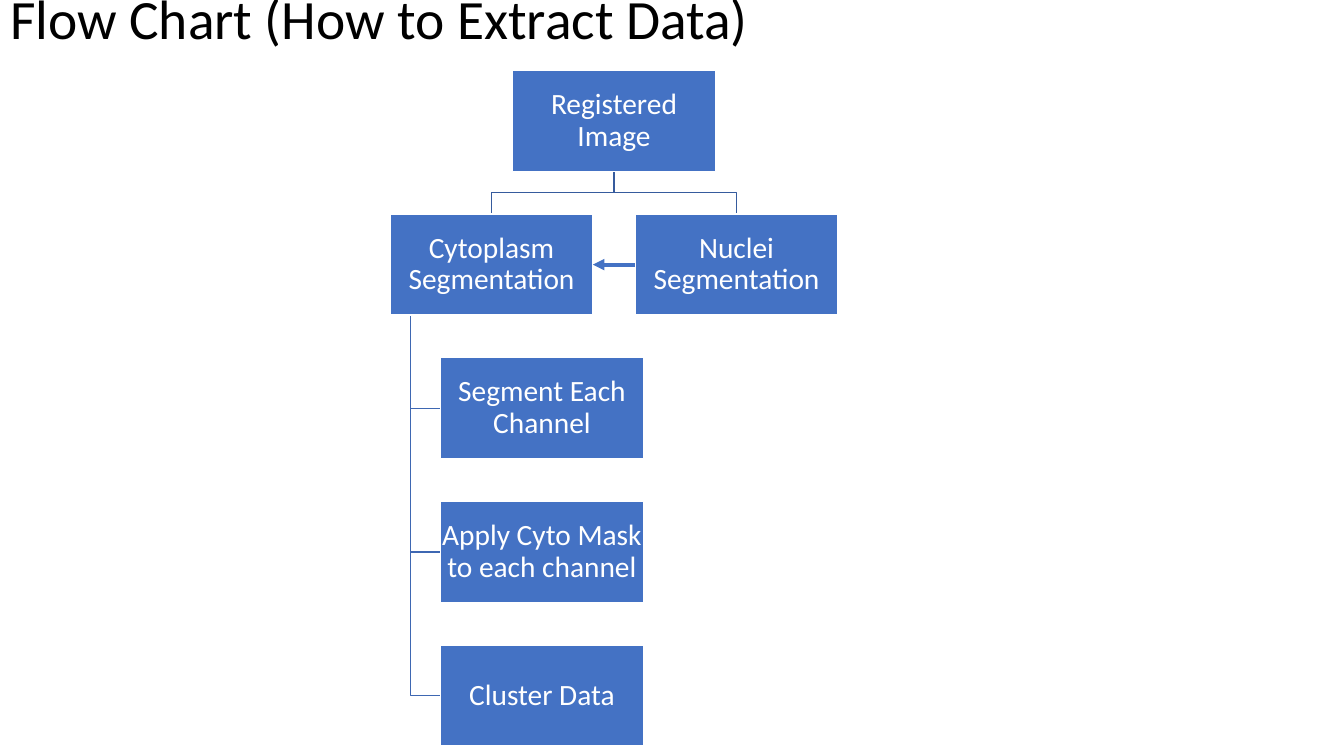
from lxml.etree import SubElement
from pptx import Presentation
from pptx.dml.color import RGBColor
from pptx.enum.shapes import MSO_CONNECTOR as CONN, MSO_SHAPE as SHAPE
from pptx.enum.text import MSO_ANCHOR as ANCHOR, MSO_AUTO_SIZE as AUTO, PP_ALIGN as ALIGN
from pptx.oxml.ns import qn
from pptx.util import Inches, Pt

TITLE = "Flow Chart (How to Extract Data)"
ROOT = "Registered Image"
BRANCHES = ["Cytoplasm Segmentation", "Nuclei Segmentation"]
STEPS = ["Segment Each Channel", "Apply Cyto Mask to each channel", "Cluster Data"]

COLORS = {"box": "4472C4", "white": "FFFFFF", "black": "000000",
          "branch": "365B9D", "step": "3E67B2"}
FONT = "Calibri"

BOX_W, BOX_H = 2.01, 1.0
LEFT, TOP = 3.87, 0.7
COL, ROW = 2.43, 1.425
TRUNK, INDENT = 0.2, 0.5


def rgb(name):
    return RGBColor.from_string(COLORS[name])


def row_top(row):
    return TOP + row * ROW


def write(sp, text, size, color, align, inset=None):
    tf = sp.text_frame
    tf.word_wrap = True
    tf.auto_size = AUTO.NONE
    tf.vertical_anchor = ANCHOR.MIDDLE
    if inset is not None:
        tf.margin_left = tf.margin_right = tf.margin_top = tf.margin_bottom = Inches(inset)
    p = tf.paragraphs[0]
    p.alignment = align
    p.line_spacing = 0.9
    r = p.add_run()
    r.text = text
    r.font.name = FONT
    r.font.size = Pt(size)
    r.font.color.rgb = rgb(color)


def add_elbow(shapes, points, color):
    pts = [(Inches(x), Inches(y)) for x, y in points]
    builder = shapes.build_freeform(*pts[0])
    builder.add_line_segments(pts[1:], close=False)
    sp = builder.convert_to_shape()
    sp.shadow.inherit = False
    sp.fill.background()
    sp.line.color.rgb = rgb(color)
    sp.line.width = Pt(1)


def add_box(shapes, text, x, y):
    sp = shapes.add_shape(SHAPE.RECTANGLE, Inches(x), Inches(y), Inches(BOX_W), Inches(BOX_H))
    sp.shadow.inherit = False
    sp.fill.solid()
    sp.fill.fore_color.rgb = rgb("box")
    sp.line.color.rgb = rgb("white")
    sp.line.width = Pt(1)
    write(sp, text, 21, "white", ALIGN.CENTER, inset=0.01)
    return sp


def add_arrow(shapes, source, target):
    line = shapes.add_connector(CONN.STRAIGHT, 0, 0, 0, 0)
    line.begin_connect(source, 1)
    line.end_connect(target, 3)
    line.line.color.rgb = rgb("box")
    line.line.width = Pt(2.75)
    SubElement(line.line._get_or_add_ln(), qn("a:tailEnd"), type="triangle")
    SubElement(line._element.spPr, qn("a:effectLst"))


def main():
    prs = Presentation()
    prs.slide_width, prs.slide_height = Inches(13.33), Inches(7.5)
    slide = prs.slides.add_slide(prs.slide_layouts[5])
    shapes = slide.shapes

    title = shapes.title
    title.left, title.top, title.width, title.height = 0, 0, Inches(11.5), Inches(0.43)
    write(title, TITLE, 39.6, "black", ALIGN.LEFT)

    root_x = LEFT + COL / 2
    root_mid = root_x + BOX_W / 2
    branch_xs = [LEFT + i * COL for i in range(len(BRANCHES))]
    step_ys = [row_top(2 + i) for i in range(len(STEPS))]
    root_end, branch_y = TOP + BOX_H, row_top(1)
    bend = (root_end + branch_y) / 2

    for x in branch_xs:
        mid = x + BOX_W / 2
        add_elbow(shapes, [(root_mid, root_end), (root_mid, bend), (mid, bend), (mid, branch_y)],
                  "branch")
    for y in step_ys:
        mid = y + BOX_H / 2
        add_elbow(shapes, [(LEFT + TRUNK, branch_y + BOX_H), (LEFT + TRUNK, mid),
                           (LEFT + INDENT, mid)], "step")

    add_box(shapes, ROOT, root_x, TOP)
    cytoplasm, nuclei = [add_box(shapes, text, x, branch_y)
                         for text, x in zip(BRANCHES, branch_xs)]
    for text, y in zip(STEPS, step_ys):
        add_box(shapes, text, LEFT + INDENT, y)
    add_arrow(shapes, nuclei, cytoplasm)

    prs.save("out.pptx")


if __name__ == "__main__":
    main()
